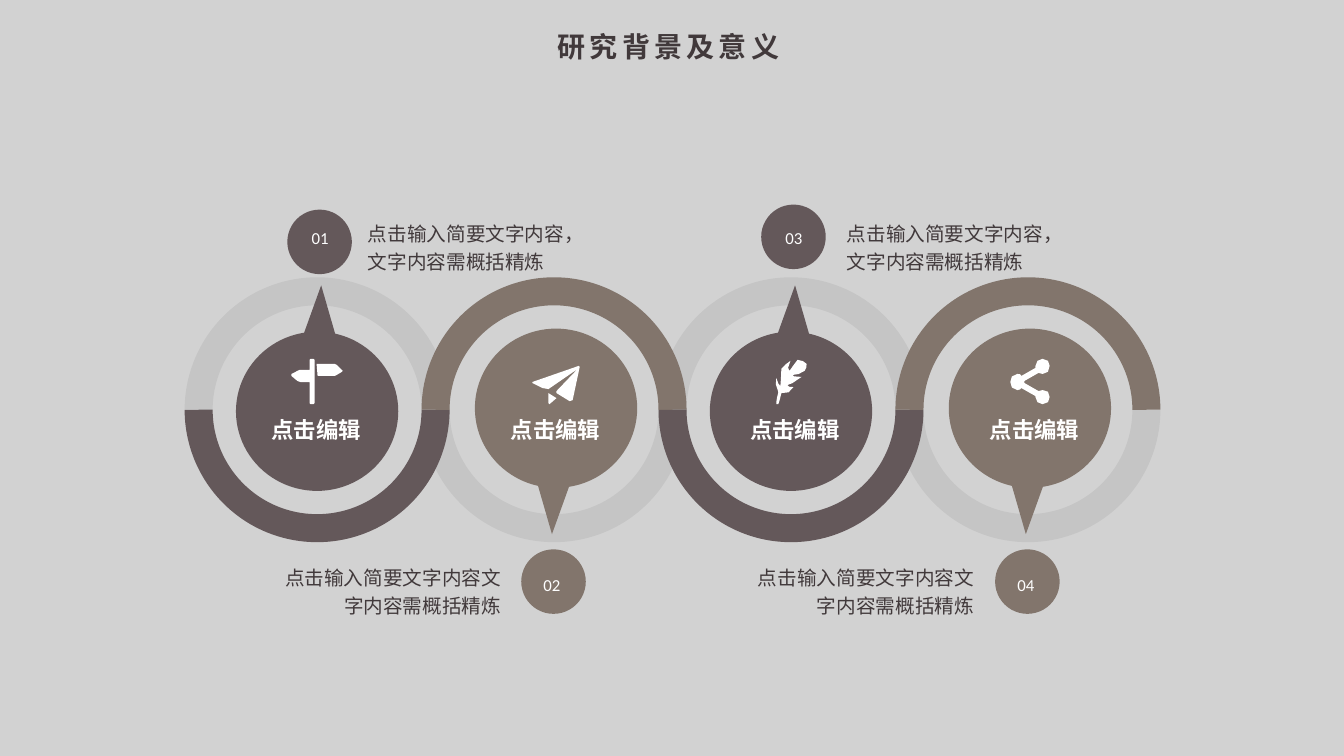
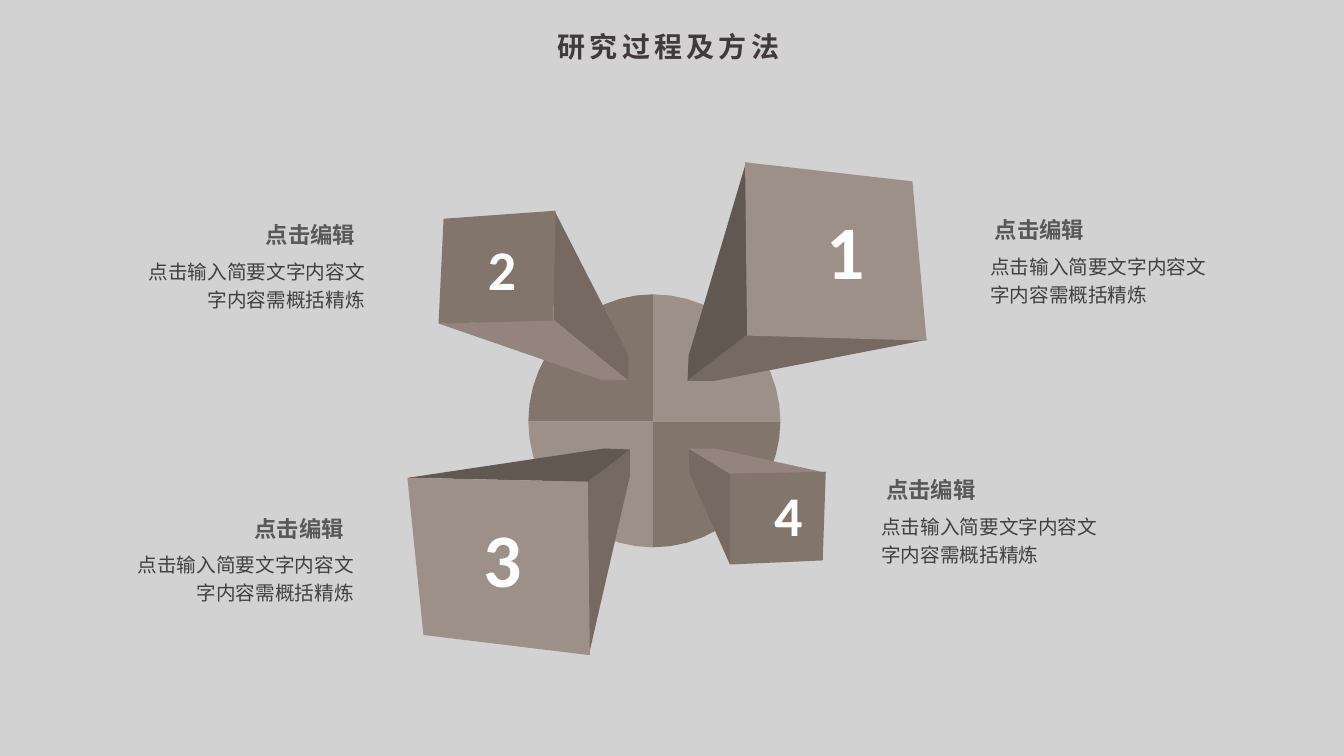
from lxml import etree
from pptx import Presentation
from pptx.dml.color import RGBColor
from pptx.enum.shapes import MSO_SHAPE
from pptx.enum.text import MSO_ANCHOR, PP_ALIGN
from pptx.oxml.ns import qn
from pptx.util import Pt

PX = 9144  # one px is a hundredth of an inch
ICON_STEPS, DISC_STEPS = 2, 12  # pieces per Bézier segment
ROUND = 0.55  # handle length of a quarter circle

BACKGROUND = RGBColor(0xD2, 0xD2, 0xD2)
INK = RGBColor(0x41, 0x39, 0x3B)
BODY_GREY = RGBColor(0x40, 0x40, 0x40)
HEADING_GREY = RGBColor(0x59, 0x59, 0x59)
WHITE = RGBColor(0xFF, 0xFF, 0xFF)
NUMBER_WHITE = RGBColor(0xFE, 0xFE, 0xFE)
BLACK = RGBColor(0x00, 0x00, 0x00)
PLUM = RGBColor(0x64, 0x58, 0x5A)
TAUPE = RGBColor(0x82, 0x75, 0x6C)
SAND = RGBColor(0x9C, 0x90, 0x88)
DARK_SIDE = RGBColor(0x62, 0x58, 0x52)
MIDDLE_SIDE = RGBColor(0x75, 0x69, 0x61)
LIGHT_SIDE = RGBColor(0x93, 0x85, 0x7D)

ARC, ELLIPSE, CALLOUT = MSO_SHAPE.ARC, MSO_SHAPE.OVAL, MSO_SHAPE.OVAL_CALLOUT
LEFT, CENTER, RIGHT = PP_ALIGN.LEFT, PP_ALIGN.CENTER, PP_ALIGN.RIGHT
TOP, MIDDLE = MSO_ANCHOR.TOP, MSO_ANCHOR.MIDDLE

LATIN, CJK = "Calibri", "Noto Sans CJK SC"
TITLE = {"size": Pt(20), "bold": True, "name": CJK}
BODY = {"size": Pt(14), "name": CJK}
HEADING = {"size": Pt(16), "bold": True, "name": LATIN}
BADGE_NUMBER = {"size": Pt(12), "name": LATIN}
LARGE_NUMBER = {"size": Pt(54), "bold": True, "name": LATIN}
SMALL_NUMBER = {"size": Pt(40), "bold": True, "name": LATIN}

EDIT = "点击编辑"
SUMMARY = "点击输入简要文字内容文字内容需概括精炼"
SUMMARY_COMMA = "点击输入简要文字内容，文字内容需概括精炼"

# Outlines: pairs are corners, sixes are Bézier segments (two handles, end)
SIGNPOST = [
    [(308, 356), (307, 357), (307, 367), (297, 367), (295, 368), (289, 371),
     (289, 373), (295, 378), (298, 379), (307, 379), (307, 400), (308, 401),
     (311, 401), (312, 400), (312, 357), (311, 356)],
    [(339, 367), (334, 362), (332, 361), (314, 361), (315, 373), (332, 373),
     (334, 372), (339, 369), (340, 368)],
]
PAPER_PLANE = [
    [(574, 363), (528, 379), (528, 380), (538, 385), (544, 386), (573, 366),
     (552, 388), (552, 390), (565, 398), (568, 397), (575, 364)],
    [(544, 400), (545, 401), (552, 395), (544, 390)],
]
FEATHER = [
    [(772, 401), (773, 398, 774, 395, 775, 390), (781, 389, 784, 391, 787, 384),
     (784, 386, 781, 382, 781, 382), (781, 380, 789, 382, 795, 374),
     (788, 375, 785, 372, 786, 372), (789, 371, 795, 372, 798, 368),
     (800, 367, 800, 362, 800, 361), (799, 359, 794, 357, 791, 357),
     (789, 358, 784, 368, 783, 368), (781, 368, 781, 363, 784, 358),
     (781, 360, 777, 363, 775, 366), (773, 371, 776, 383, 774, 383),
     (774, 384, 770, 378, 770, 375), (769, 379, 769, 383, 772, 389),
     (771, 393, 770, 397, 770, 399), (770, 401)],
]
SHARE = [
    [(1034, 387), (1030, 388), (1016, 380), (1016, 378), (1030, 370), (1034, 371),
     (1039, 371, 1041, 368, 1041, 363), (1041, 359, 1039, 356, 1034, 356),
     (1030, 356, 1027, 359, 1027, 363), (1027, 365),
     (1013, 373), (1013, 371, 1011, 371, 1009, 371),
     (1004, 371, 1002, 375, 1002, 379), (1002, 383, 1004, 387, 1009, 387),
     (1011, 387, 1013, 386, 1013, 385), (1027, 393), (1027, 394),
     (1027, 398, 1030, 401, 1034, 401), (1039, 401, 1041, 398, 1041, 394),
     (1041, 389, 1039, 387, 1034, 387)],
]

# Steps: icon, badge top, number top, summary text, left and top
STEPS = [
    (SIGNPOST, 208, 213, SUMMARY_COMMA, 355, 211),
    (PAPER_PLANE, 545, 557, SUMMARY, 268, 552),
    (FEATHER, 203, 213, SUMMARY_COMMA, 830, 211),
    (SHARE, 545, 557, SUMMARY, 737, 552),
]

# Disc quarters: colour, horizontal edge, vertical edge
DISC_CENTER = (647.5, 418)
QUARTERS = [(TAUPE, 774, 543), (SAND, 774, 292), (SAND, 524, 543), (TAUPE, 524, 292)]

# Beams: faces from back to front, then number box and its style
BEAMS = [
    ([(DARK_SIDE, [(740, 161), (683, 353), (682, 378), (742, 333)]),
      (MIDDLE_SIDE, [(741, 332), (681, 378), (708, 378), (920, 337)]),
      (SAND, [(739, 161), (741, 333), (919, 338), (905, 180)])],
     (810, 197, 59, 101), LARGE_NUMBER),
    ([(LIGHT_SIDE, [(435, 321), (597, 377), (623, 377), (549, 317)]),
      (MIDDLE_SIDE, [(549, 317), (623, 377), (623, 352), (550, 209)]),
      (TAUPE, [(440, 217), (435, 321), (549, 318), (551, 209)])],
     (474, 228, 49, 77), SMALL_NUMBER),
    ([(MIDDLE_SIDE, [(584, 650), (625, 471), (625, 446), (583, 478)]),
      (DARK_SIDE, [(583, 478), (625, 446), (599, 445), (405, 474)]),
      (SAND, [(404, 474), (420, 630), (585, 650), (583, 478)])],
     (470, 503, 59, 101), LARGE_NUMBER),
    ([(MIDDLE_SIDE, [(724, 470), (683, 445), (684, 470), (724, 560)]),
      (LIGHT_SIDE, [(819, 469), (710, 445), (683, 445), (724, 470)]),
      (TAUPE, [(724, 470), (724, 560), (816, 556), (819, 468)])],
     (758, 472, 49, 77), SMALL_NUMBER),
]

# Notes beside the beams: left and top of the summary, alignment
NOTES = [(141, 253, RIGHT), (130, 544, RIGHT), (982, 248, LEFT), (874, 506, LEFT)]


def px(*lengths):
    return [round(length * PX) for length in lengths]


def set_fill(shape, color):
    shape.shadow.inherit = False
    shape.fill.solid()
    shape.fill.fore_color.rgb = color
    shape.line.fill.background()


def add_preset(slide, kind, box, color, adjustments=(), rotation=0):
    shape = slide.shapes.add_shape(kind, *px(*box))
    for index, value in enumerate(adjustments):
        shape.adjustments[index] = value
    shape.rotation = rotation
    set_fill(shape, color)
    return shape


def add_arc(slide, box, color, upper, alpha=None):
    """Draw half a ring as a thick arc; alpha is in percent."""
    angles = (108, 0) if upper else (0, 108)
    shape = add_preset(slide, ARC, box, color, angles)
    shape.fill.background()
    shape.line.width = Pt(20)
    shape.line.color.rgb = color
    if alpha is not None:
        element = shape.line._ln.find(".//" + qn("a:srgbClr"))
        etree.SubElement(element, qn("a:alpha"), val=str(alpha * 1000))


def flatten(outline, steps):
    """Turn corners and Bézier segments into a list of points."""
    points = []
    for segment in outline:
        if len(segment) == 2:
            points.append(segment)
            continue
        x0, y0 = points[-1]
        x1, y1, x2, y2, x3, y3 = segment
        for step in range(1, steps + 1):
            t = step / steps
            u = 1 - t
            a, b, c, d = u ** 3, 3 * u * u * t, 3 * u * t * t, t ** 3
            points.append((a * x0 + b * x1 + c * x2 + d * x3,
                           a * y0 + b * y1 + c * y2 + d * y3))
    return points


def add_outline(slide, outlines, color, steps=ICON_STEPS):
    builder = None
    for outline in outlines:
        start, *others = [px(*point) for point in flatten(outline, steps)]
        if builder is None:
            builder = slide.shapes.build_freeform(*start, scale=1.0)
        else:
            builder.move_to(*start)
        builder.add_line_segments(others, close=True)
    set_fill(builder.convert_to_shape(), color)


def add_quarter(slide, color, edge_x, edge_y):
    x, y = DISC_CENTER
    handle_x = x + (edge_x - x) * ROUND
    handle_y = y + (edge_y - y) * ROUND
    arc = (edge_x, handle_y, handle_x, edge_y, x, edge_y)
    add_outline(slide, [[(x, y), (edge_x, y), arc]], color, DISC_STEPS)


def add_text(slide, box, text, style, color, align=LEFT, anchor=TOP,
             line=None, inset=True, tracking=None):
    frame = slide.shapes.add_textbox(*px(*box)).text_frame
    frame.word_wrap = True
    frame.vertical_anchor = anchor
    if not inset:
        for side in ("left", "top", "right", "bottom"):
            setattr(frame, "margin_" + side, 0)
    paragraph = frame.paragraphs[0]
    paragraph.alignment = align
    if line:
        paragraph.line_spacing = Pt(line)
    run = paragraph.add_run()
    run.text = text
    run.font.color.rgb = color
    for name, value in style.items():
        setattr(run.font, name, value)
    properties = run._r.get_or_add_rPr()
    etree.SubElement(properties, qn("a:ea"), typeface=CJK)
    if tracking:
        properties.set("spc", str(tracking * 100))


def add_slide(presentation):
    slide = presentation.slides.add_slide(presentation.slide_layouts[6])
    slide.background.fill.solid()
    slide.background.fill.fore_color.rgb = BACKGROUND
    return slide


def add_title(slide, title):
    add_text(slide, (540, 24, 246, 44), title, TITLE, INK, CENTER,
             line=24, tracking=3)


def build_chain(presentation):
    slide = add_slide(presentation)
    rings = [(197 + 235 * index, 289, 235, 235) for index in range(len(STEPS))]
    # Faint halves lie under the coloured ones
    for index, ring in enumerate(rings):
        add_arc(slide, ring, BLACK, upper=index % 2 == 0, alpha=5)
    for index, ring in enumerate(rings):
        lower = index % 2 == 0
        add_arc(slide, ring, PLUM if lower else TAUPE, upper=not lower)

    for index, step in enumerate(STEPS):
        icon, badge_top, number_top, summary, left, top = step
        pair, odd = divmod(index, 2)
        shift = 470 * pair
        color = TAUPE if odd else PLUM
        # Pointer disc and numbered badge
        add_preset(slide, CALLOUT, (234 + 237 * odd + shift, 326 if odd else 329, 161, 158),
                   color, (-0.025, 0.791), 0 if odd else 180)
        add_preset(slide, ELLIPSE, (285 + 232 * odd + shift, badge_top, 64, 64), color)
        add_text(slide, (296 + 230 * odd + shift, number_top, 43, 36),
                 f"{index + 1:02}", BADGE_NUMBER, NUMBER_WHITE, CENTER, line=20)
        # Icon, label and summary
        add_outline(slide, icon, WHITE)
        add_text(slide, (249 + 237.5 * index, 417, 129, 29), EDIT, HEADING,
                 WHITE, CENTER, MIDDLE, line=12)
        add_text(slide, (left, top, 239, 65), summary, BODY, INK,
                 RIGHT if odd else LEFT, line=20)
    add_title(slide, "研究背景及意义")


def build_beams(presentation):
    slide = add_slide(presentation)
    for quarter in QUARTERS:
        add_quarter(slide, *quarter)

    for number, (faces, box, style) in enumerate(BEAMS, 1):
        for color, corners in faces:
            add_outline(slide, [corners], color)
        add_text(slide, box, str(number), style, WHITE)

    for left, top, align in NOTES:
        heading_left = left + 77 if align == RIGHT else left - 5
        add_text(slide, (left, top, 221, 54), SUMMARY, BODY, BODY_GREY,
                 align, line=20, inset=False)
        add_text(slide, (heading_left, top - 39, 144, 37), EDIT, HEADING,
                 HEADING_GREY, align, MIDDLE, line=20)
    add_title(slide, "研究过程及方法")


def main():
    presentation = Presentation()
    presentation.slide_width, presentation.slide_height = px(1333, 750)
    build_chain(presentation)
    build_beams(presentation)
    presentation.save("out.pptx")


if __name__ == "__main__":
    main()
